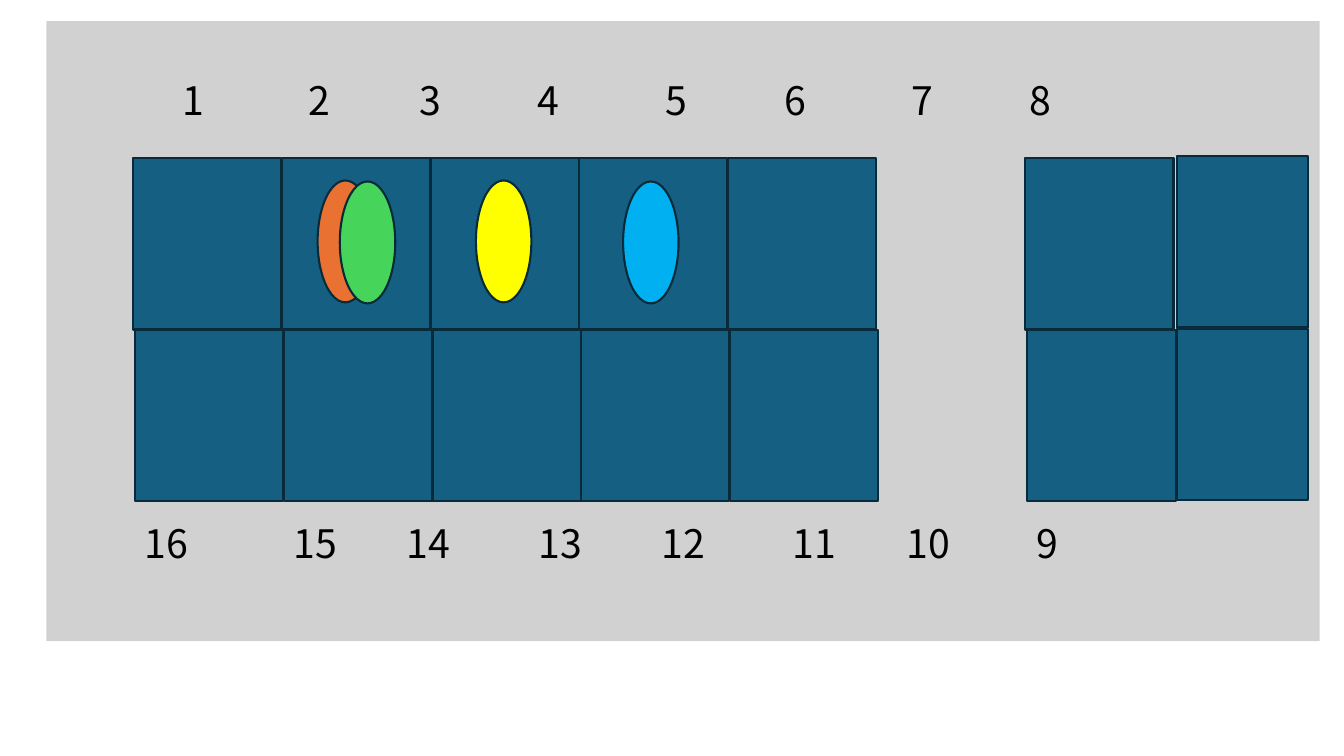
from lxml import etree
from pptx import Presentation
from pptx.dml.color import RGBColor
from pptx.enum import shapes, text
from pptx.oxml import ns
from pptx.util import Inches, Pt

PANEL_GREY = RGBColor(0xD1, 0xD1, 0xD1)
CELL_BLUE = RGBColor(0x15, 0x60, 0x82)
OUTLINE = RGBColor(0x09, 0x2A, 0x39)
BLACK = RGBColor(0, 0, 0)
ORANGE = RGBColor(0xE9, 0x71, 0x32)
GREEN = RGBColor(0x47, 0xD4, 0x5A)
YELLOW = RGBColor(0xFF, 0xFF, 0)
SKY = RGBColor(0, 0xB0, 0xF0)
RECT = shapes.MSO_SHAPE.RECTANGLE
OVAL = shapes.MSO_SHAPE.OVAL


def draw(parent, kind, box, fill, outlined=True):
    """Add a flat shape; box is left, top, width, height in inches."""
    shape = parent.add_shape(kind, *map(Inches, box))
    shape.shadow.inherit = False
    shape.fill.solid()
    shape.fill.fore_color.rgb = fill
    if outlined:
        shape.line.color.rgb = OUTLINE
        shape.line.width = Pt(1.5)
    else:
        shape.line.fill.background()
    return shape


prs = Presentation()
prs.slide_width, prs.slide_height = Inches(13.33), Inches(7.5)
slide = prs.slides.add_slide(prs.slide_layouts[6])

# Grey panel with one numbered line above the cells and one below
panel_left = 0.46
panel = draw(slide.shapes, RECT, (panel_left, 0.21, 12.63, 6.15), PANEL_GREY, outlined=False)
frame = panel.text_frame
frame.word_wrap = True
frame.vertical_anchor = text.MSO_ANCHOR.TOP
frame.margin_left = frame.margin_right = 0
frame.margin_top = Inches(0.6)

number_rows = [
    (range(1, 9), 0, (1.92, 3.17, 4.27, 5.44, 6.71, 7.89, 9.15, 10.32)),
    (range(16, 8, -1), 286, (1.65, 3.13, 4.25, 5.56, 6.78, 8.08, 9.21, 10.39)),
]
frame.text = "\n".join(
    "".join(f"\t{number}" for number in numbers) for numbers, _, _ in number_rows
)
for line, (_, space_before, centres) in zip(frame.paragraphs, number_rows):
    line.alignment = text.PP_ALIGN.LEFT
    tab_list = etree.SubElement(line._p.get_or_add_pPr(), ns.qn("a:tabLst"))
    for centre in centres:
        etree.SubElement(tab_list, ns.qn("a:tab"),
                         pos=str(Inches(centre - panel_left)), algn="ctr")
    line.line_spacing = 0.9
    line.space_before = Pt(space_before)
    for run in line.runs:
        run.font.name = "Noto Sans CJK JP"
        run.font.size = Pt(28)
        run.font.color.rgb = BLACK

# Two rows of cells; column 5 is left open
cell_w, cell_h, pitch = 1.47, 1.7, 1.475
for row_left, row_top in ((1.32, 1.57), (1.34, 3.27)):
    row = slide.shapes.add_group_shape()
    for column in (0, 1, 2, 3, 4, 6):
        draw(row.shapes, RECT, (row_left + column * pitch, row_top, cell_w, cell_h), CELL_BLUE)

for end_top in (1.55, 3.26):
    draw(slide.shapes, RECT, (11.67, end_top, 1.3, cell_h), CELL_BLUE)

# Coloured markers in the upper row
for left, top, colour in (
    (3.15, 1.79, ORANGE),
    (3.37, 1.8, GREEN),
    (4.72, 1.79, YELLOW),
    (6.18, 1.8, SKY),
):
    draw(slide.shapes, OVAL, (left, top, 0.55, 1.21), colour)

prs.save("out.pptx")
